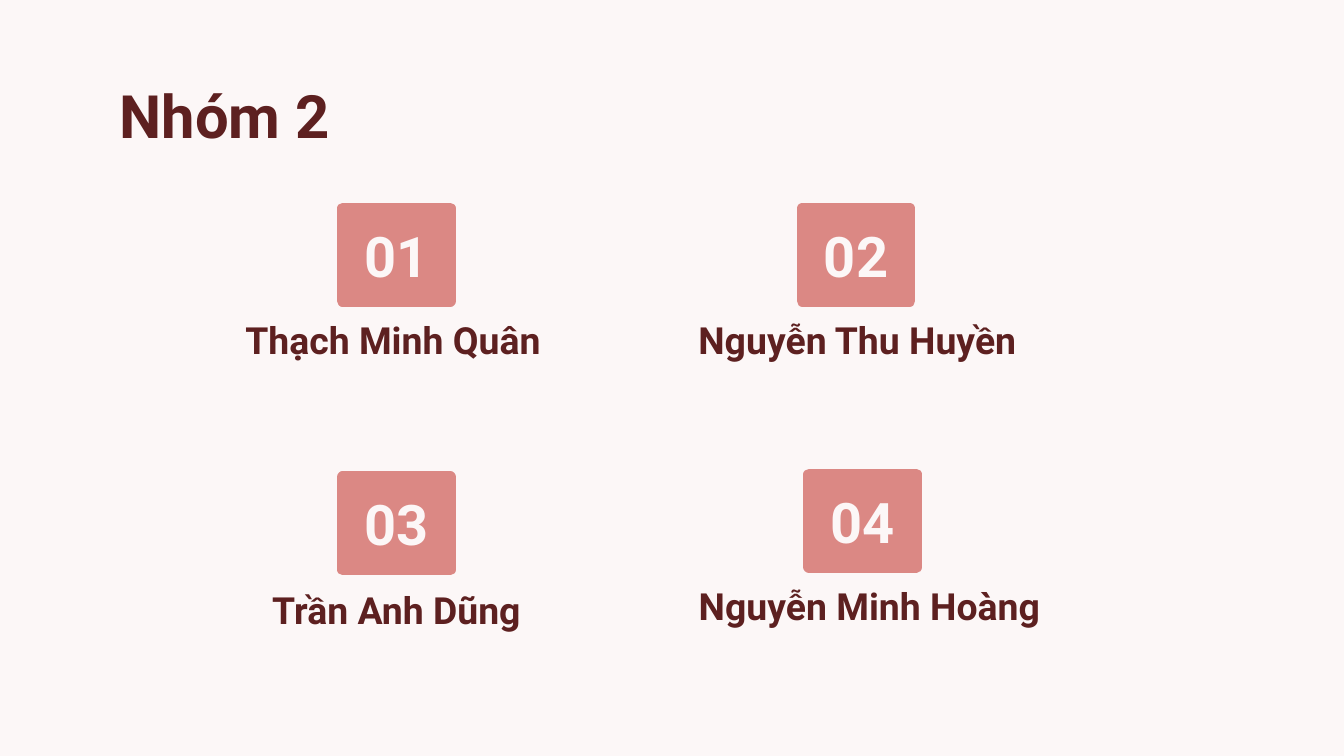
from pptx import Presentation
from pptx.dml.color import RGBColor
from pptx.enum.shapes import MSO_SHAPE
from pptx.enum.text import MSO_ANCHOR, PP_ALIGN
from pptx.util import Inches, Pt

RECTANGLE = MSO_SHAPE.RECTANGLE
TOP, MIDDLE = MSO_ANCHOR.TOP, MSO_ANCHOR.MIDDLE
LEFT, CENTER = PP_ALIGN.LEFT, PP_ALIGN.CENTER

FONT = "Roboto"
BACKGROUND = "FCF7F7"
DARK_RED = "5D2020"
PINK = "DB8884"

TILE_WIDTH, TILE_HEIGHT = 0.8, 0.69
NAME_HEIGHT = 0.8

# Tile left, tile top, name, name left, name top, name width
MEMBERS = [
    (2.55, 1.55, "Thạch Minh Quân", 1.51, 2.26, 2.83),
    (5.97, 1.55, "Nguyễn Thu Huyền", 4.78, 2.26, 3.2),
    (2.55, 3.55, "Trần Anh Dũng", 1.69, 4.27, 2.52),
    (6.02, 3.53, "Nguyễn Minh Hoàng", 4.78, 4.24, 3.38),
]


def color(hex_string):
    return RGBColor.from_string(hex_string)


def set_text(shape, text, size, text_color, alignment, anchor):
    frame = shape.text_frame
    frame.word_wrap = True
    frame.vertical_anchor = anchor
    frame.margin_left = frame.margin_right = Inches(0.1)
    frame.margin_top = frame.margin_bottom = Inches(0.1)
    paragraph = frame.paragraphs[0]
    paragraph.text = text
    paragraph.alignment = alignment
    paragraph.font.name = FONT
    paragraph.font.size = Pt(size)
    paragraph.font.bold = True
    paragraph.font.color.rgb = color(text_color)


def add_label(slide, left, top, width, height, text, size, alignment):
    label = slide.shapes.add_textbox(
        Inches(left), Inches(top), Inches(width), Inches(height))
    set_text(label, text, size, DARK_RED, alignment, TOP)


def add_number_tile(slide, left, top, number):
    tile = slide.shapes.add_shape(
        RECTANGLE, Inches(left), Inches(top),
        Inches(TILE_WIDTH), Inches(TILE_HEIGHT))
    tile.shadow.inherit = False
    tile.fill.solid()
    tile.fill.fore_color.rgb = color(PINK)
    # The wide line in the fill colour rounds the corners
    tile.line.color.rgb = color(PINK)
    tile.line.width = Pt(6)
    set_text(tile, f"{number:02d}", 30, BACKGROUND, CENTER, MIDDLE)


def main():
    # Widescreen slide, 16 to 9
    presentation = Presentation()
    presentation.slide_width = Inches(10)
    presentation.slide_height = Inches(10 * 9 / 16)
    slide = presentation.slides.add_slide(presentation.slide_layouts[6])
    slide.background.fill.solid()
    slide.background.fill.fore_color.rgb = color(BACKGROUND)

    # Title
    add_label(slide, 0.79, 0.49, 8.43, 0.63, "Nhóm 2", 32, LEFT)

    # Group members: a numbered tile above each name
    for number, member in enumerate(MEMBERS, start=1):
        tile_left, tile_top, name, name_left, name_top, name_width = member
        add_number_tile(slide, tile_left, tile_top, number)
        add_label(slide, name_left, name_top, name_width, NAME_HEIGHT,
                  name, 20, CENTER)

    presentation.save("out.pptx")


if __name__ == "__main__":
    main()
